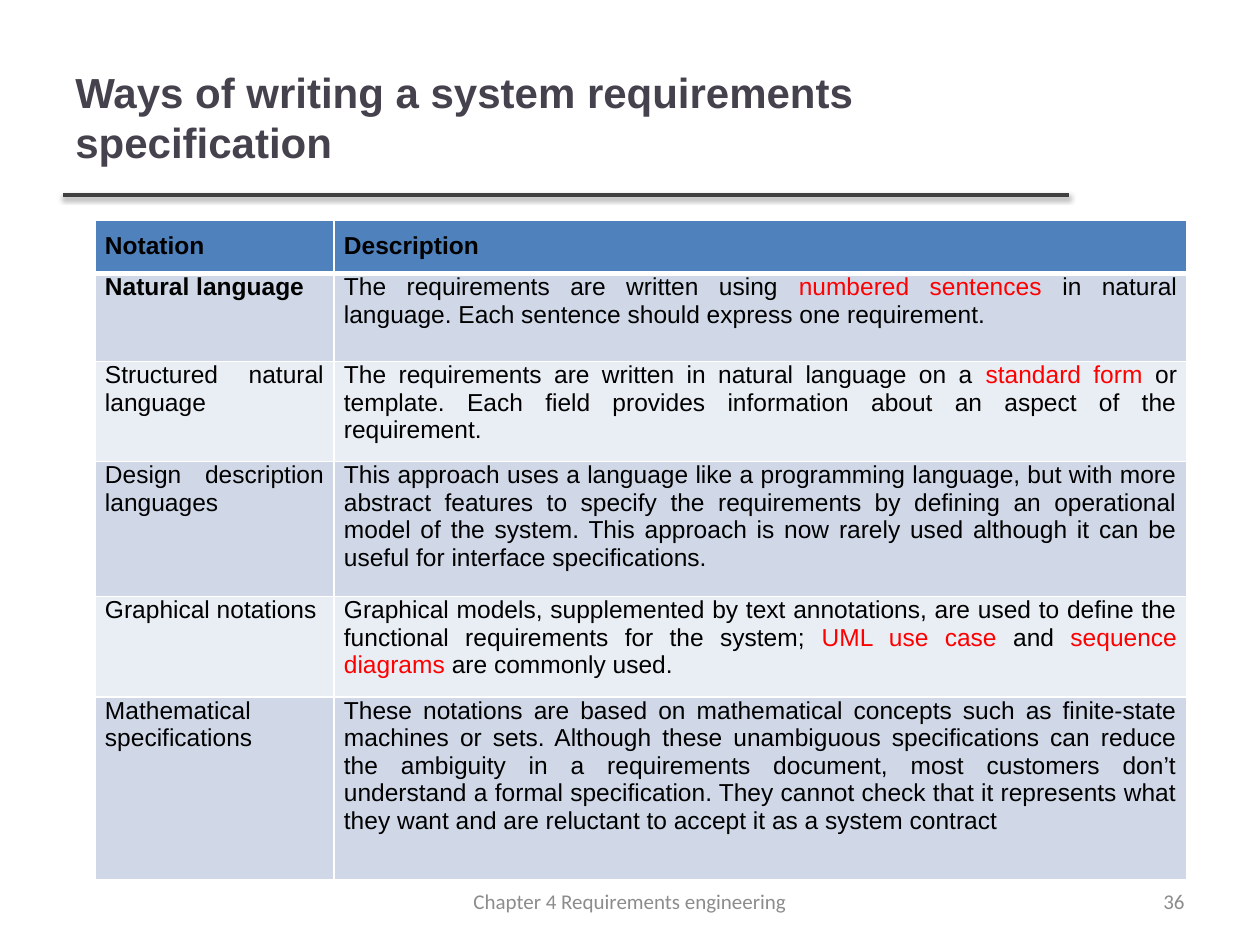
import collections
import dataclasses

import lxml.etree
import pptx
import pptx.dml.color
import pptx.enum.shapes
import pptx.enum.text
import pptx.oxml
import pptx.oxml.ns
import pptx.util

Box = collections.namedtuple("Box", "left top width height")
Align = pptx.enum.text.PP_ALIGN
SCALE = 914400 / 126


@dataclasses.dataclass(frozen=True)
class Theme:
    title: str = "46424D"
    rule: str = "404040"
    text: str = "000000"
    accent: str = "FF0000"
    muted: str = "8C8C8C"
    head: str = "4F81BD"
    bands: tuple = ("D0D8E8", "E9EDF4")
    border: str = "FFFFFF"
    font: str = "Arial"
    small_font: str = "Calibri"
    title_size: int = 24
    body_size: int = 14
    small_size: int = 12


THEME = Theme()

# Words between asterisks take the accent colour.
ROWS = [
    ("Notation", "Description"),
    ("Natural language",
     "The requirements are written using *numbered sentences *in natural "
     "language. Each sentence should express one requirement."),
    ("Structured natural language",
     "The requirements are written in natural language on a *standard form* or "
     "template. Each field provides information about an aspect of the requirement."),
    ("Design description languages",
     "This approach uses a language like a programming language, but with more "
     "abstract features to specify the requirements by defining an operational "
     "model of the system. This approach is now rarely used although it can be "
     "useful for interface specifications."),
    ("Graphical notations",
     "Graphical models, supplemented by text annotations, are used to define the "
     "functional requirements for the system; *UML use case *and *sequence "
     "diagrams* are commonly used."),
    ("Mathematical specifications",
     "These notations are based on mathematical concepts such as finite-state "
     "machines or sets. Although these unambiguous specifications can reduce the "
     "ambiguity in a requirements document, most customers don’t understand a "
     "formal specification. They cannot check that it represents what they want "
     "and are reluctant to accept it as a system contract"),
]
HEIGHTS = (50, 88, 95, 135, 96, 183)
NAME_WIDTH = 239


def px(count):
    return pptx.util.Emu(round(count * SCALE))


def color(code):
    return pptx.dml.color.RGBColor.from_string(code)


def add_run(para, text, size, code, font, bold=False):
    run = para.add_run()
    run.text = text
    run.font.size = pptx.util.Pt(size)
    run.font.name = font
    run.font.bold = bold
    run.font.color.rgb = color(code)


def add_text(slide, box, align, text, *style):
    frame = slide.shapes.add_textbox(*map(px, box)).text_frame
    frame.word_wrap = True
    frame.vertical_anchor = pptx.enum.text.MSO_ANCHOR.MIDDLE
    para = frame.paragraphs[0]
    para.alignment = align
    add_run(para, text, *style)


def add_title(slide, box):
    """Place the heading and the shadowed rule along its lower edge."""
    base = box.top + box.height
    ends = (box.left, base, box.left + box.width, base)
    rule = slide.shapes.add_connector(
        pptx.enum.shapes.MSO_CONNECTOR.STRAIGHT, *map(px, ends))
    rule.line.color.rgb = color(THEME.rule)
    rule.line.width = pptx.util.Pt(2)
    tag = pptx.oxml.ns.qn
    props = rule.element.find(tag("p:spPr"))
    effects = lxml.etree.SubElement(props, tag("a:effectLst"))
    shadow = lxml.etree.SubElement(
        effects, tag("a:outerShdw"), blurRad=str(pptx.util.Pt(3.1)),
        dist=str(pptx.util.Pt(1.6)), dir="5400000", rotWithShape="0")
    shade = lxml.etree.SubElement(shadow, tag("a:srgbClr"), val="000000")
    lxml.etree.SubElement(shade, tag("a:alpha"), val="38000")
    add_text(slide, box, Align.LEFT,
             "Ways of writing a system requirements specification",
             THEME.title_size, THEME.title, THEME.font, True)


def set_borders(cell, row):
    """Draw thin borders, with a thick one between header and body."""
    tag = pptx.oxml.ns.qn
    props = cell._tc.get_or_add_tcPr()
    widths = {"L": 1, "R": 1, "T": 3 if row == 1 else 1, "B": 3 if row == 0 else 1}
    for side, width in widths.items():
        line = lxml.etree.SubElement(
            props, tag("a:ln" + side), w=str(pptx.util.Pt(width)))
        fill = lxml.etree.SubElement(line, tag("a:solidFill"))
        lxml.etree.SubElement(fill, tag("a:srgbClr"), val=THEME.border)


def fill_cell(cell, row, col, text):
    set_borders(cell, row)
    cell.fill.solid()
    cell.fill.fore_color.rgb = color(
        THEME.bands[(row - 1) % 2] if row else THEME.head)
    cell.margin_left = cell.margin_right = px(10)
    cell.margin_top = px(0 if row else 12)
    cell.margin_bottom = px(12)
    para = cell.text_frame.paragraphs[0]
    para.alignment = Align.JUSTIFY if row or col else Align.LEFT
    bold = row == 0 or (row == 1 and col == 0)
    for index, part in enumerate(text.split("*")):
        code = THEME.accent if index % 2 else THEME.text
        add_run(para, part, THEME.body_size, code, THEME.font, bold)


def add_grid(slide, box):
    table = slide.shapes.add_table(len(ROWS), 2, *map(px, box)).table
    for col, width in enumerate((NAME_WIDTH, box.width - NAME_WIDTH)):
        table.columns[col].width = px(width)
    for row, texts in enumerate(ROWS):
        table.rows[row].height = px(HEIGHTS[row])
        for col, text in enumerate(texts):
            fill_cell(table.cell(row, col), row, col, text)


def add_footer(slide, box):
    """Centre the chapter name and set the page number at the right edge."""
    style = (THEME.small_size, THEME.muted, THEME.small_font)
    wide, short = 400, 294
    middle = box.left + (box.width - wide) // 2
    right = box.left + box.width - short
    add_text(slide, Box(right, box.top, short, box.height),
             Align.RIGHT, "36", *style)
    add_text(slide, Box(middle, box.top, wide, box.height),
             Align.CENTER, "Chapter 4 Requirements engineering", *style)


def main():
    deck = pptx.Presentation()
    deck.slide_width, deck.slide_height = px(1260), px(945)
    slide = deck.slides.add_slide(deck.slide_layouts[6])
    add_title(slide, Box(63, 38, 1006, 157))
    add_grid(slide, Box(95, 220, 1092, sum(HEIGHTS)))
    add_footer(slide, Box(63, 876, 1134, 50))
    deck.save("out.pptx")


if __name__ == "__main__":
    main()
